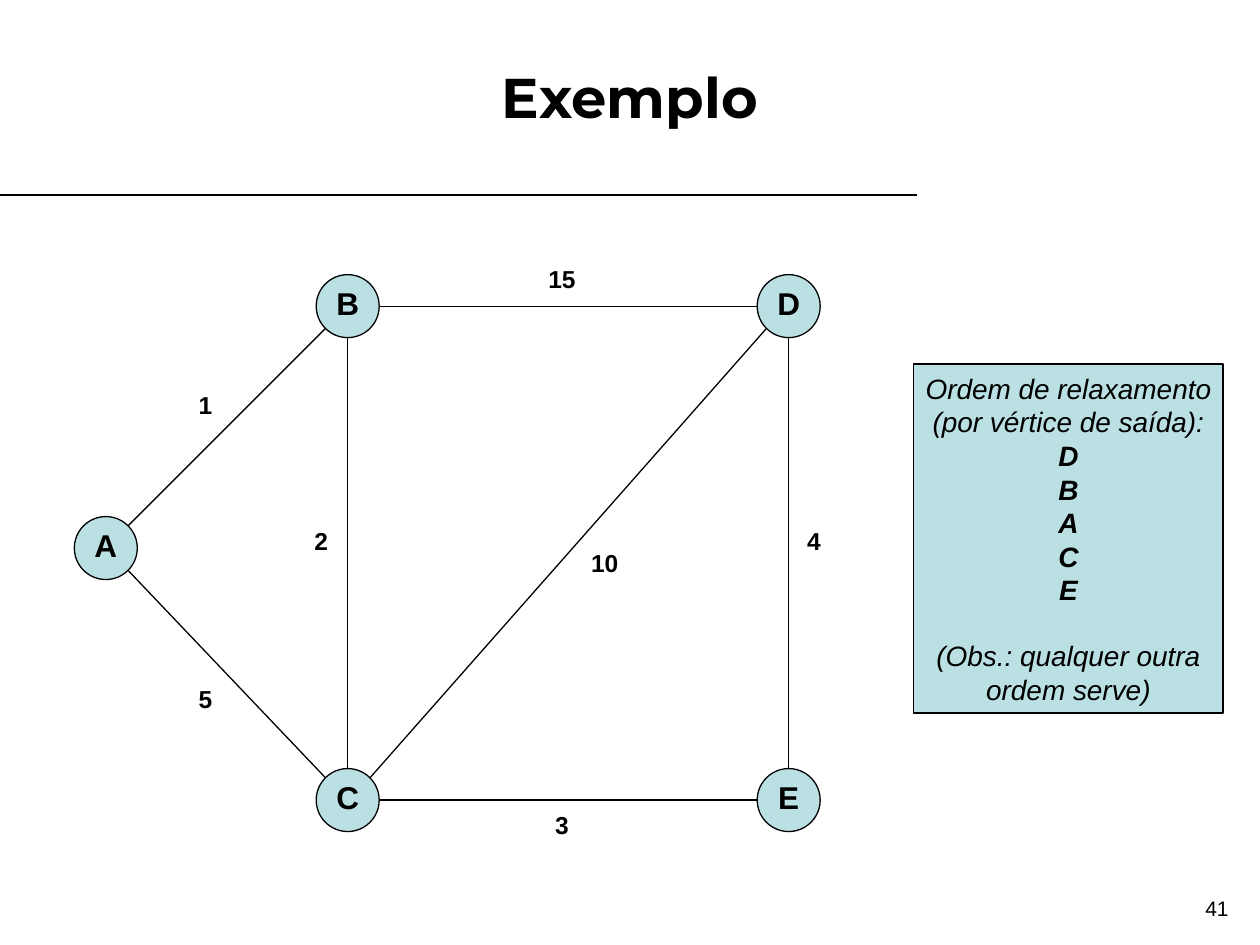
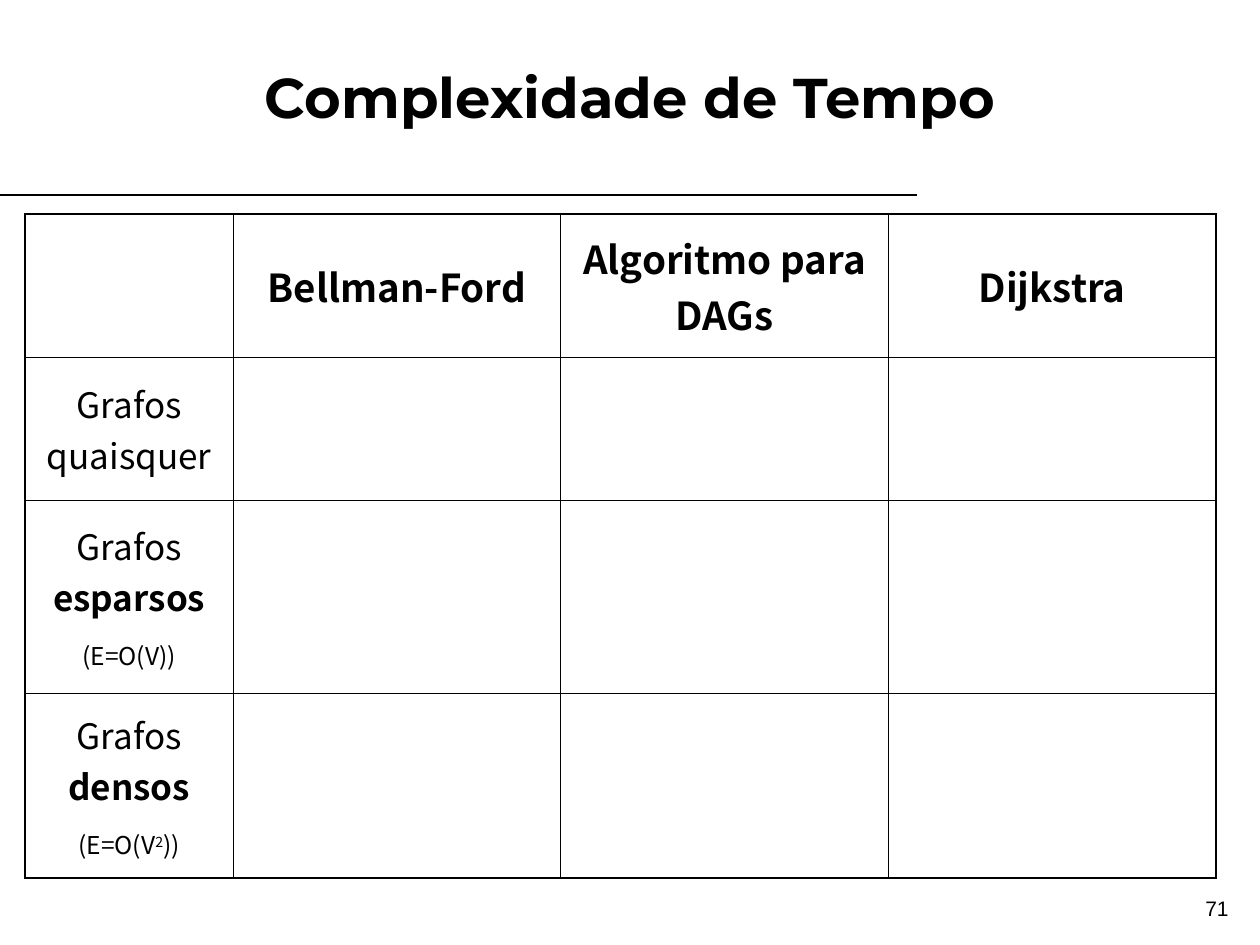
from math import atan2, cos, pi, sin

from lxml.etree import SubElement
from pptx import Presentation
from pptx.dml.color import RGBColor
from pptx.enum.shapes import MSO_CONNECTOR, MSO_SHAPE
from pptx.enum.text import MSO_ANCHOR, PP_ALIGN
from pptx.oxml.ns import qn
from pptx.util import Inches, Pt

BLACK = RGBColor(0x00, 0x00, 0x00)
WHITE = RGBColor(0xFF, 0xFF, 0xFF)
AQUA = RGBColor(0xBB, 0xE0, 0xE3)

BODY_FONT = "Arial"
TITLE_FONT = "Montserrat"
TABLE_FONT = "Noto Sans CJK JP"

# Grid: 100 columns by 75 rows fill the slide
WIDTH, HEIGHT = Inches(10), Inches(7.5)
COLUMNS, ROWS = 100, 75
NODE_SIZE = 5
LABEL_WIDTH, LABEL_HEIGHT = 5.8, 4.2
OUTER_BORDER, INNER_BORDER = 1.08, 0.45


def col(n):
    return round(WIDTH * n / COLUMNS)


def row(n):
    return round(HEIGHT * n / ROWS)


def write(frame, paragraphs, *, wrap=True, anchor=MSO_ANCHOR.MIDDLE, **style):
    """Fill a frame; each paragraph is a text or a (runs, overrides) pair."""
    frame.word_wrap = wrap
    frame.vertical_anchor = anchor
    for index, item in enumerate(paragraphs):
        runs, overrides = ([(item, {})], {}) if isinstance(item, str) else item
        look = {**style, **overrides}
        paragraph = frame.paragraphs[0] if index == 0 else frame.add_paragraph()
        paragraph.alignment = look.get("align", PP_ALIGN.CENTER)
        paragraph.line_spacing = look.get("spacing", 1.0)
        paragraph.space_before = Pt(look.get("before", 0))
        paragraph.space_after = Pt(look.get("after", 0))
        for text, run_overrides in runs:
            run_look = {**look, **run_overrides}
            run = paragraph.add_run()
            run.text = text
            run.font.name = run_look.get("font", BODY_FONT)
            run.font.size = Pt(run_look["size"])
            run.font.bold = run_look.get("bold", False)
            run.font.italic = run_look.get("italic", False)
            run.font.color.rgb = BLACK
            if run_look.get("superscript"):
                run.font._element.set("baseline", "30000")


class Deck:
    def __init__(self):
        self.presentation = Presentation()
        self.presentation.slide_width = WIDTH
        self.presentation.slide_height = HEIGHT
        self.slide = None

    def start_slide(self, title, number):
        """Title, rule below it and page number."""
        self.slide = self.presentation.slides.add_slide(
            self.presentation.slide_layouts[5])
        heading = self.slide.shapes.title
        heading.left, heading.top = col(5), row(1.4)
        heading.width, heading.height = col(90), row(12.5)
        write(heading.text_frame, [title], font=TITLE_FONT, size=32, bold=True)
        self.line((0, 15.5), (72.8, 15.5), weight=1)
        self.text([number], (75.2, 70.6, 23.3, 2.9), size=12,
                  align=PP_ALIGN.RIGHT, anchor=MSO_ANCHOR.TOP)

    def line(self, start, end, weight=0.75):
        connector = self.slide.shapes.add_connector(
            MSO_CONNECTOR.STRAIGHT,
            col(start[0]), row(start[1]), col(end[0]), row(end[1]))
        connector.line.color.rgb = BLACK
        connector.line.width = Pt(weight)
        SubElement(connector._element.spPr, qn("a:effectLst"))

    def text(self, paragraphs, place, **style):
        left, top, width, height = place
        box = self.slide.shapes.add_textbox(
            col(left), row(top), col(width), row(height))
        write(box.text_frame, paragraphs, **style)

    def shape(self, kind, paragraphs, place, weight=0.75, **style):
        left, top, width, height = place
        shape = self.slide.shapes.add_shape(
            kind, col(left), row(top), col(width), row(height))
        shape.shadow.inherit = False
        shape.fill.solid()
        shape.fill.fore_color.rgb = AQUA
        shape.line.color.rgb = BLACK
        shape.line.width = Pt(weight)
        write(shape.text_frame, paragraphs, wrap=False, **style)

    def node(self, name, centre):
        x, y = centre
        self.shape(MSO_SHAPE.OVAL, [name],
                   (x - NODE_SIZE / 2, y - NODE_SIZE / 2, NODE_SIZE, NODE_SIZE),
                   size=18, bold=True, spacing=0.87)

    def edge(self, start, end):
        """Join two node rims at the nearest multiple of 45 degrees."""
        angle = atan2(end[1] - start[1], end[0] - start[0])
        angle = round(angle / (pi / 4)) * pi / 4
        dx, dy = NODE_SIZE / 2 * cos(angle), NODE_SIZE / 2 * sin(angle)
        self.line((start[0] + dx, start[1] + dy), (end[0] - dx, end[1] - dy))

    def weight_label(self, value, centre):
        x, y = centre
        self.text([value], (x - LABEL_WIDTH / 2, y - LABEL_HEIGHT / 2,
                            LABEL_WIDTH, LABEL_HEIGHT),
                  size=14, bold=True, spacing=0.87, wrap=False)

    def table(self, corner, widths, heights, contents):
        """Contents maps (row, column) to paragraphs."""
        table = self.slide.shapes.add_table(
            len(heights), len(widths), col(corner[0]), row(corner[1]),
            col(sum(widths)), row(sum(heights))).table
        table.first_row = table.horz_banding = False
        for column, width in zip(table.columns, widths):
            column.width = col(width)
        for line, height in zip(table.rows, heights):
            line.height = row(height)
        last_row, last_column = len(heights) - 1, len(widths) - 1
        for r in range(len(heights)):
            for c in range(len(widths)):
                cell = table.cell(r, c)
                self.borders(cell, L=c == 0, R=c == last_column,
                             T=r == 0, B=r == last_row)
                cell.fill.solid()
                cell.fill.fore_color.rgb = WHITE
                if (r, c) in contents:
                    cell.vertical_anchor = MSO_ANCHOR.MIDDLE
                    write(cell.text_frame, contents[r, c], font=TABLE_FONT,
                          size=20, before=7.5, after=3.7)

    @staticmethod
    def borders(cell, **outer_sides):
        properties = cell._tc.get_or_add_tcPr()
        for side, outer in outer_sides.items():
            width = Pt(OUTER_BORDER if outer else INNER_BORDER)
            border = SubElement(properties, qn(f"a:ln{side}"), w=str(width))
            fill = SubElement(border, qn("a:solidFill"))
            SubElement(fill, qn("a:srgbClr"), val=str(BLACK))


def build_example(deck):
    deck.start_slide("Exemplo", "41")

    # Weighted graph
    left, right, top, bottom = 27.6, 62.6, 24.3, 63.5
    vertices = {"A": (8.4, 43.5), "B": (left, top), "C": (left, bottom),
                "D": (right, top), "E": (right, bottom)}
    edges = [("C", "A", "5", (16.3, 55.6)), ("A", "B", "1", (16.3, 32.3)),
             ("B", "C", "2", (25.5, 43.1)), ("C", "D", "10", (48, 44.8)),
             ("C", "E", "3", (44.6, 65.6)), ("B", "D", "15", (44.6, 22.3)),
             ("D", "E", "4", (64.6, 43.1))]
    for name, centre in vertices.items():
        deck.node(name, centre)
    for source, target, weight, label_centre in edges:
        deck.edge(vertices[source], vertices[target])
        deck.weight_label(weight, label_centre)

    # Relaxation order
    order = [([(name, {"bold": True})], {}) for name in "DBACE"]
    remark = ([("(Obs.: qualquer outra", {})], {"before": 18.4})
    deck.shape(MSO_SHAPE.RECTANGLE,
               ["Ordem de relaxamento", "(por vértice de saída):", *order,
                remark, "ordem serve)"],
               (72.5, 28.9, 24.6, 27.7), weight=1, size=16, italic=True)


def build_complexity(deck):
    deck.start_slide("Complexidade de Tempo", "71")

    # Algorithms across, graph densities down
    heading = {"size": 22, "bold": True, "before": 8.2, "after": 4.1}
    condition = {"size": 14, "before": 5.2, "after": 2.6}
    algorithms = ["Bellman-Ford", "Algoritmo para DAGs", "Dijkstra"]
    contents = {(0, c): [([(name, {})], heading)]
                for c, name in enumerate(algorithms, 1)}
    contents[1, 0] = ["Grafos quaisquer"]
    densities = [("esparsos", [("(E=O(V))", {})]),
                 ("densos", [("(E=O(V", {}), ("2", {"superscript": True}),
                             ("))", {})])]
    for r, (density, bound) in enumerate(densities, 2):
        contents[r, 0] = [([("Grafos ", {}), (density, {"bold": True})], {}),
                          (bound, condition)]
    deck.table((2, 17), [16.5, 26, 26, 26], [11.4, 11.3, 15.3, 14.7], contents)


def main():
    deck = Deck()
    build_example(deck)
    build_complexity(deck)
    deck.presentation.save("out.pptx")


if __name__ == "__main__":
    main()
